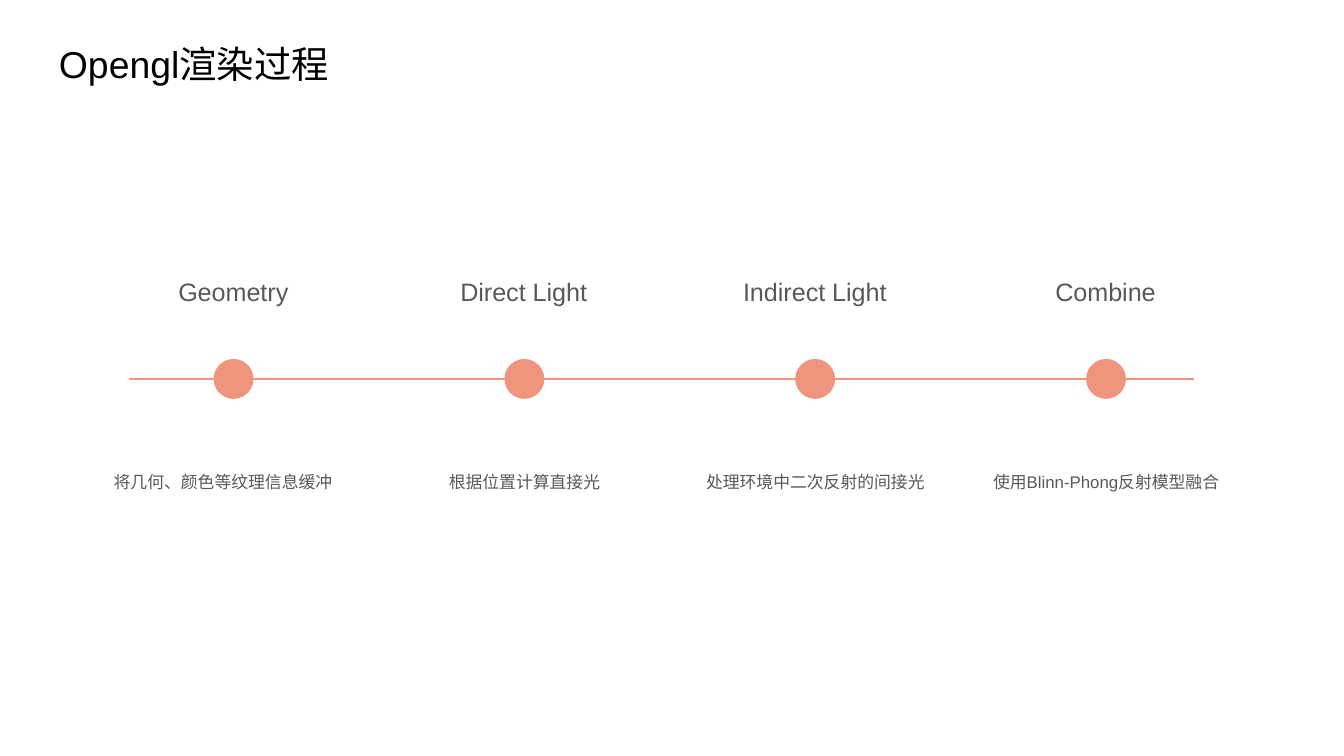
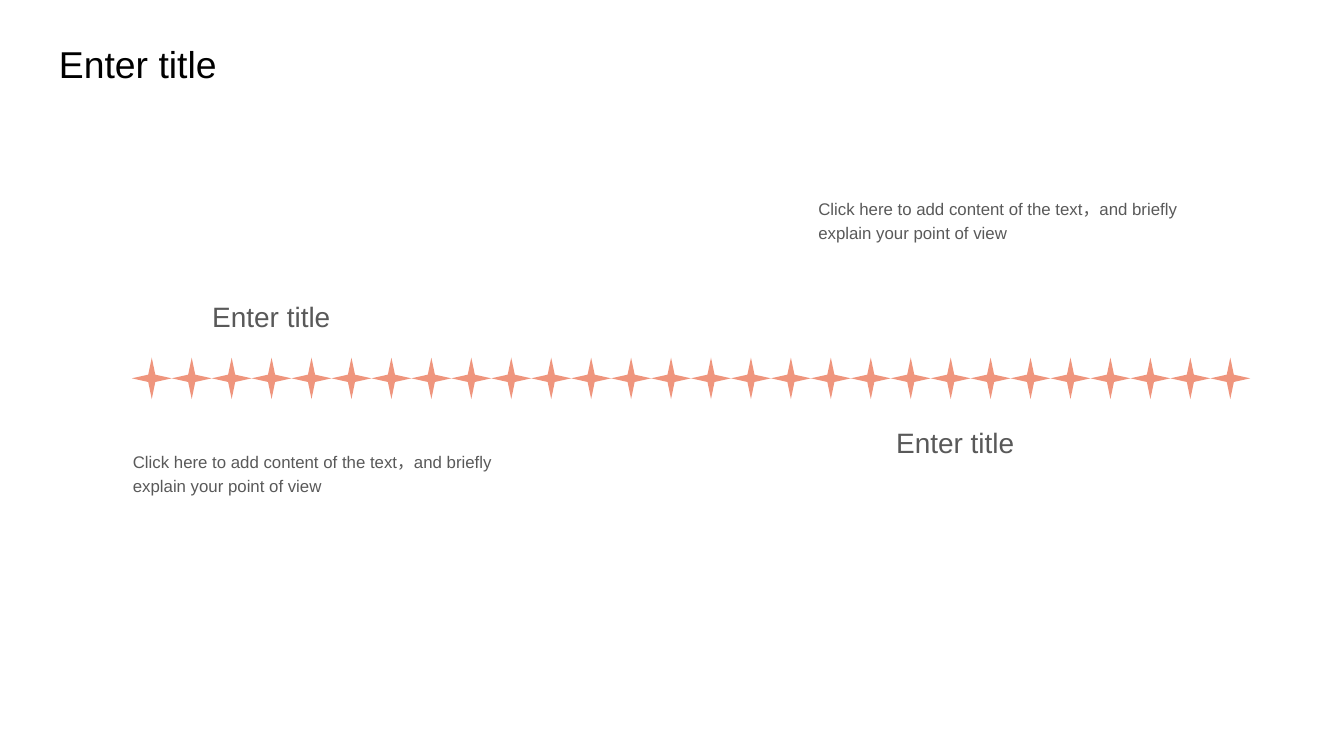
from lxml import etree
from pptx import Presentation
from pptx import util as u
from pptx.dml import color
from pptx.enum import shapes, text
from pptx.oxml import ns

Pt = u.Pt
ALIGN = text.PP_ALIGN


def rgb(value):
    """Turn a hex string into a colour."""
    return color.RGBColor.from_string(value)


class Deck:
    """Hold the shared style and the current slide."""

    FONT = "Arial"
    INK = "000000"
    GREY = "595959"
    ACCENT = "EF957D"

    def __init__(self):
        self.prs = Presentation()
        self.prs.slide_width = Pt(720)
        self.prs.slide_height = Pt(405)
        self.slide = None

    def new_slide(self, title, width):
        """Add a blank slide with its title."""
        self.slide = self.prs.slides.add_slide(self.prs.slide_layouts[6])
        self.label(title, 24.5, 18.7, width, 31.7, 20, ink=self.INK)

    def label(self, words, left, top, width, height, size, align=None,
              spacing=None, wrap=True, ink=GREY):
        """Add a text box that grows with its single paragraph."""
        frame = self.slide.shapes.add_textbox(
            Pt(left), Pt(top), Pt(width), Pt(height)).text_frame
        frame.word_wrap = wrap
        frame.auto_size = text.MSO_AUTO_SIZE.SHAPE_TO_FIT_TEXT
        paragraph = frame.paragraphs[0]
        paragraph.alignment = align
        paragraph.line_spacing = spacing
        run = paragraph.add_run()
        run.text = words
        run.font.name = self.FONT
        run.font.size = Pt(size)
        run.font.color.rgb = rgb(ink)

    def mark(self, preset, left, top, width, height, parent=None):
        """Add an accent shape without outline, to the slide or to a group."""
        mark = (parent or self.slide).shapes.add_shape(
            preset, Pt(left), Pt(top), Pt(width), Pt(height))
        mark.shadow.inherit = False
        mark.fill.solid()
        mark.fill.fore_color.rgb = rgb(self.ACCENT)
        mark.line.fill.background()

    def axis(self, left, right, y):
        """Add a thin horizontal accent line."""
        axis = self.slide.shapes.add_connector(
            shapes.MSO_CONNECTOR.STRAIGHT, Pt(left), Pt(y), Pt(right), Pt(y))
        axis.line.color.rgb = rgb(self.ACCENT)
        axis.line.width = Pt(0.75)
        etree.SubElement(axis._element.spPr, ns.qn("a:effectLst"))

    def group(self):
        """Add an empty group."""
        return self.slide.shapes.add_group_shape()


def rendering_slide(deck):
    """Build the four-stage rendering timeline."""
    stages = [
        ("Geometry", 73.4, "将几何、颜色等纹理信息缓冲", ALIGN.LEFT),
        ("Direct Light", 82.8, "根据位置计算直接光", ALIGN.CENTER),
        ("Indirect Light", 91.4, "处理环境中二次反射的间接光", ALIGN.CENTER),
        ("Combine", 68.4, "使用Blinn-Phong反射模型融合", ALIGN.CENTER),
    ]
    first, pitch, axis_y = 125.1, 155.8, 203
    dot, note_width = 21.4, 142.6
    deck.new_slide("Opengl渲染过程", 159.1)
    deck.axis(69.1, 639.4, axis_y)
    for index, (stage, width, note, align) in enumerate(stages):
        center = first + index * pitch
        deck.mark(shapes.MSO_SHAPE.OVAL, center - dot / 2, axis_y - dot / 2,
                  dot, dot)
        deck.label(note, center - note_width / 2, 246.2, note_width, 20.9, 9,
                   align, 1.27)
        deck.label(stage, center - width / 2, 144.7, width, 23.8, 13.5,
                   ALIGN.JUSTIFY, wrap=False)


def star_slide(deck):
    """Build the row of stars with two captioned points."""
    points = [(106.6, 157, 64.1, 236.2), (473, 224.6, 431.3, 100.8)]
    star_count, first, pitch = 28, 70.6, 21.4
    deck.new_slide("Enter title", 125.3)
    row = deck.group()
    for index in range(star_count):
        deck.mark(shapes.MSO_SHAPE.STAR_4_POINT, first + index * pitch, 191.6,
                  pitch, 22.2, row)
    for heading_left, heading_top, note_left, note_top in points:
        deck.label("Enter title", heading_left, heading_top, 149.8, 25.2, 15,
                   ALIGN.JUSTIFY)
        deck.label("Click here to add content of the text，and briefly "
                   "explain your point of view",
                   note_left, note_top, 236.2, 31.7, 9, spacing=1.2)


def main():
    """Build both slides and save them."""
    deck = Deck()
    rendering_slide(deck)
    star_slide(deck)
    deck.prs.save("out.pptx")


if __name__ == "__main__":
    main()
